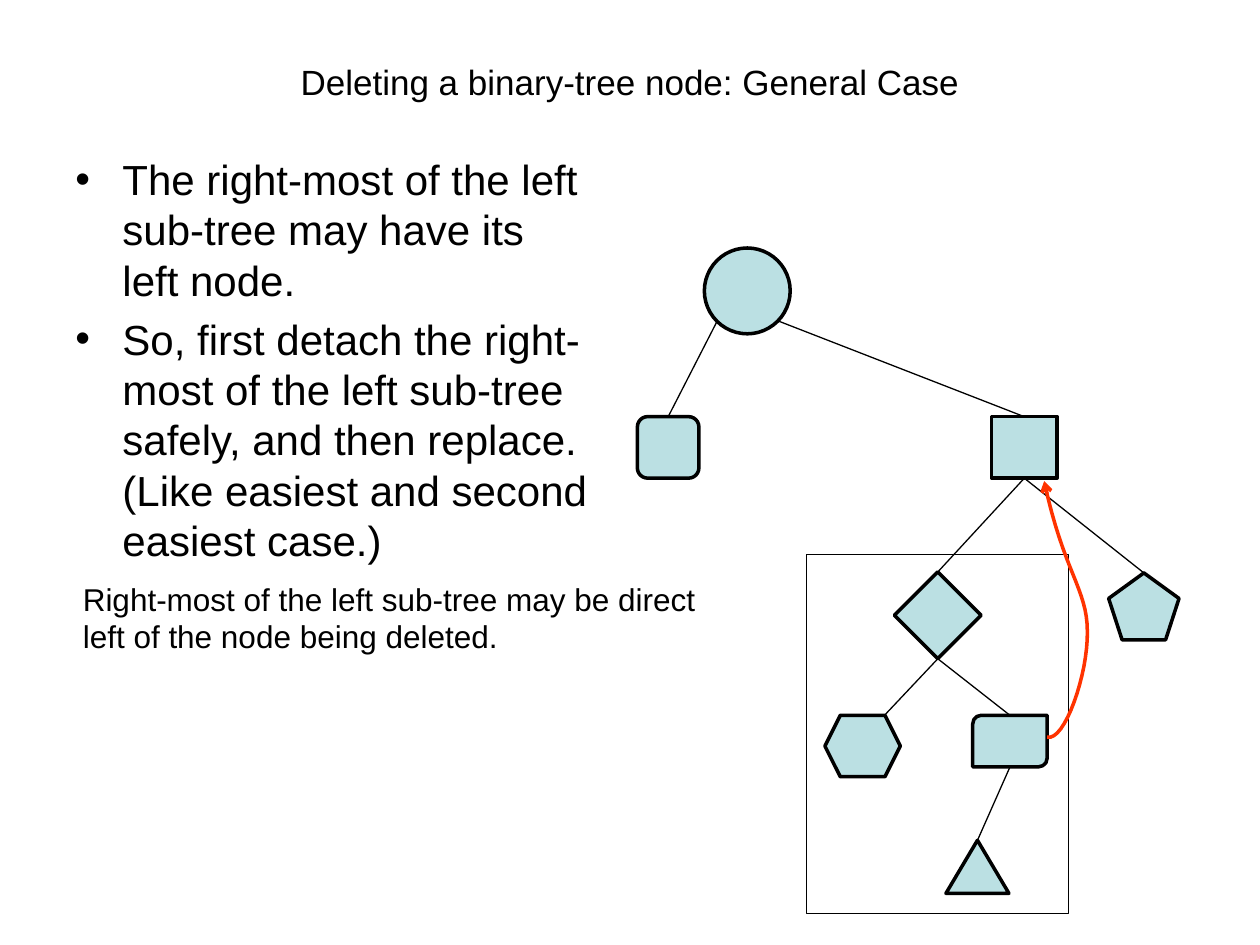
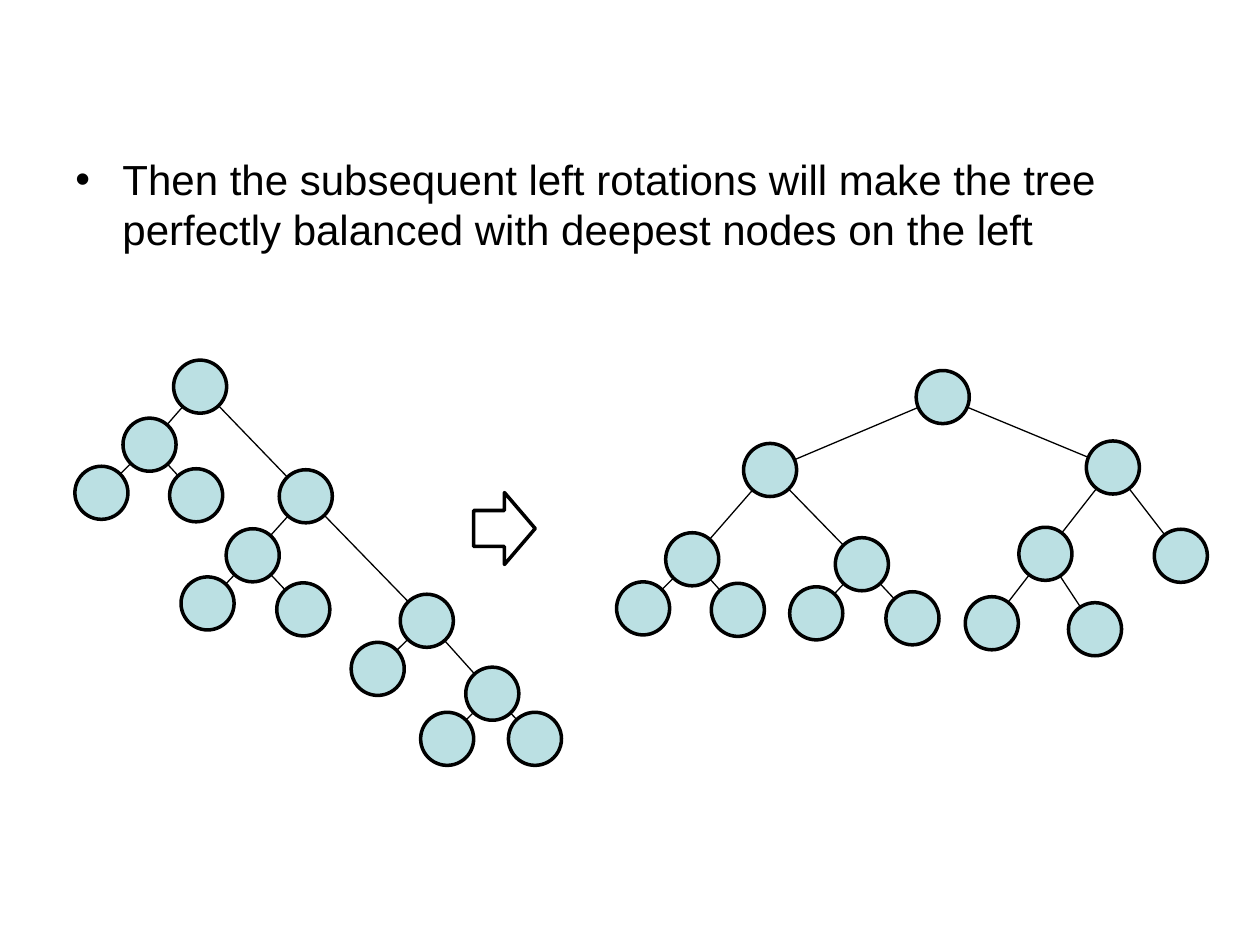
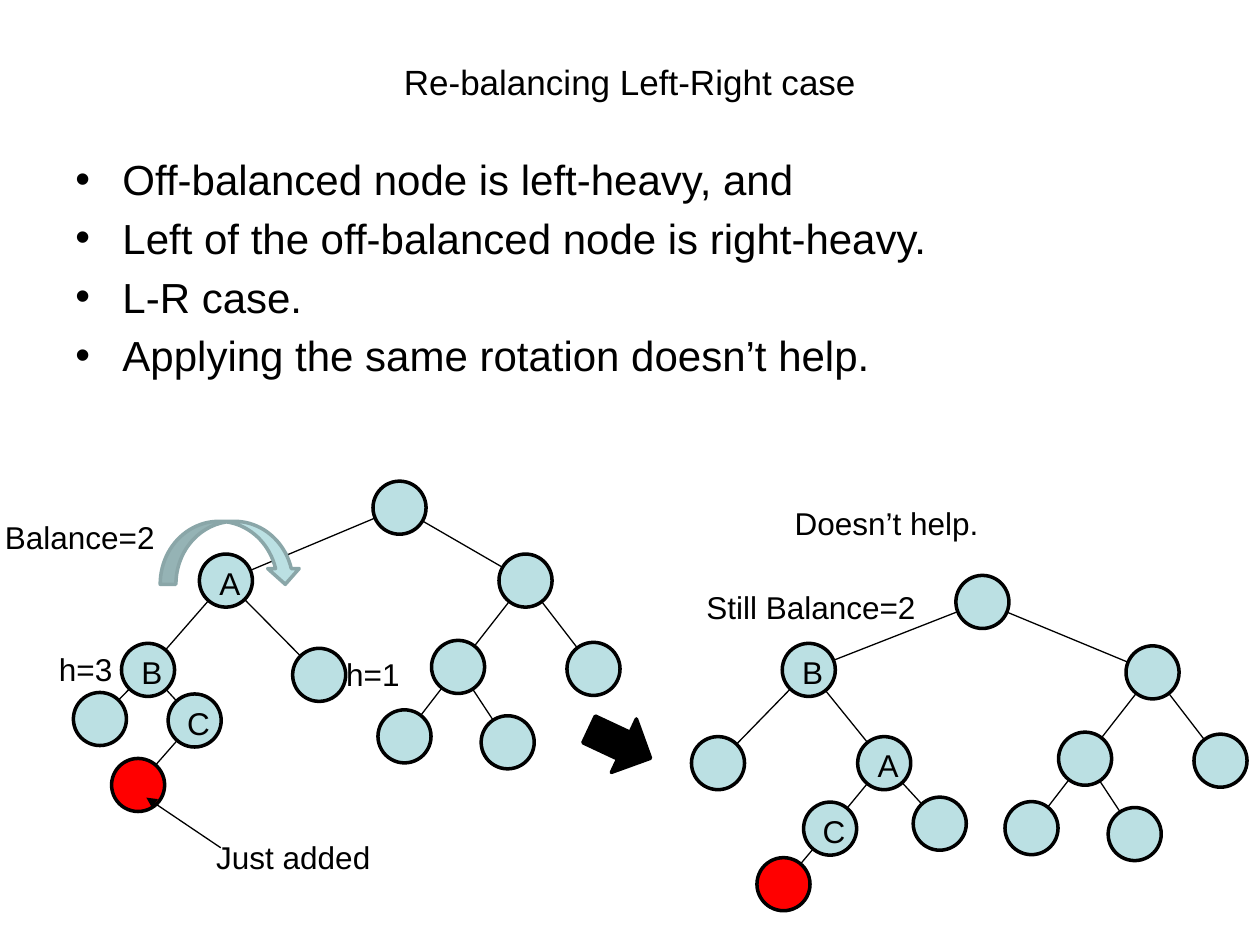
import dataclasses

import pptx
import pptx.dml.color
import pptx.enum.shapes
import pptx.enum.text
import pptx.oxml.ns
import pptx.oxml.xmlchemy
import pptx.util
from pptx.util import Cm

KIND = pptx.enum.shapes.MSO_SHAPE
ANCHOR = pptx.enum.text.MSO_ANCHOR
ALIGN = pptx.enum.text.PP_ALIGN
FIT = pptx.enum.text.MSO_AUTO_SIZE

FONT = "Arial"
BLACK, PALE, RED = "000000", "BBE0E3", "FF0000"
ORANGE, ARC_EDGE = "FF3300", "8AA6A8"
NODE_SIZE = 1.07
THICK, THIN, HAIR = 2, 0.75, 0.25
TITLE_ONLY, BLANK = 5, 6
TOP, BOTTOM = (0.5, 0), (0.5, 1)
JOIN_SITES = {TOP: 0, (0, 0.5): 1, BOTTOM: 2, (1, 0.5): 3}


@dataclasses.dataclass
class Box:
    left: float
    top: float
    width: float
    height: float

    def inner(self, left, top, width, height):
        return Box(self.left + left, self.top + top, width, height)

    def point(self, x, y):
        return self.left + x, self.top + y

    def lengths(self):
        return [Cm(value) for value in dataclasses.astuple(self)]


@dataclasses.dataclass
class Node:
    """A tree node, offset from its parent (a root: from its box)."""
    dx: float
    dy: float
    children: tuple = ()
    label: str = ""
    fill: str = PALE


TITLE_BOX = Box(1.27, 0.76, 22.86, 1.78)
BODY_BOX = Box(1.27, 2.97, 22.86, 14.05)


def apply_format(target, values):
    for name, value in values.items():
        setattr(target, name, value)


def color(code):
    return pptx.dml.color.RGBColor.from_string(code)


def add_child(parent, tag, **attributes):
    child = pptx.oxml.xmlchemy.OxmlElement(tag)
    for name, value in attributes.items():
        child.set(name, value)
    parent.append(child)
    return child


def set_line(line, code, width, arrowhead=None):
    line.color.rgb = color(code)
    line.width = pptx.util.Pt(width)
    if arrowhead:
        add_child(line._get_or_add_ln(), "a:tailEnd", type=arrowhead)


def set_text(para, text, size, **layout):
    span = para.add_run()
    span.text = text
    apply_format(span.font, {"name": FONT, "size": pptx.util.Pt(size)})
    span.font.color.rgb = color(BLACK)
    apply_format(para, layout)


def set_paint(shape, fill, edge, width, arrowhead=None):
    shape.shadow.inherit = False
    if fill:
        shape.fill.solid()
        shape.fill.fore_color.rgb = color(fill)
    else:
        shape.fill.background()
    set_line(shape.line, edge, width, arrowhead)


def draw_shape(page, kind, box, fill=PALE, edge=BLACK, width=THICK):
    shape = page.shapes.add_shape(kind, *box.lengths())
    set_paint(shape, fill, edge, width)
    return shape


def draw_line(page, start, finish, arrowhead=None):
    line = page.shapes.add_connector(
        pptx.enum.shapes.MSO_CONNECTOR.STRAIGHT,
        *[Cm(value) for value in (*start, *finish)])
    set_line(line.line, BLACK, THIN, arrowhead)
    add_child(line._element.find(pptx.oxml.ns.qn("p:spPr")), "a:effectLst")
    return line


def add_page(deck, title=None):
    page = deck.slides.add_slide(deck.slide_layouts[TITLE_ONLY if title else BLANK])
    if title:
        holder = page.shapes.title
        names = ("left", "top", "width", "height")
        apply_format(holder, dict(zip(names, TITLE_BOX.lengths())))
        apply_format(holder.text_frame, {
            "vertical_anchor": ANCHOR.MIDDLE, "word_wrap": True, "auto_size": FIT.NONE})
        set_text(holder.text_frame.paragraphs[0], title, 20, alignment=ALIGN.CENTER)
    return page


def draw_bullets(page, box, lines):
    frame = page.shapes.add_textbox(*box.lengths()).text_frame
    frame.word_wrap = True
    for index, text in enumerate(lines):
        para = frame.add_paragraph() if index else frame.paragraphs[0]
        set_text(para, text, 24, space_before=pptx.util.Pt(4.8))
        properties = para._p.get_or_add_pPr()
        apply = {"marL": Cm(0.95), "indent": Cm(-0.95)}
        for name, value in apply.items():
            properties.set(name, str(value))
        add_child(properties, "a:buFont", typeface=FONT)
        add_child(properties, "a:buChar", char="•")


def draw_label(page, box, text, wrap=False):
    frame = page.shapes.add_textbox(*box.lengths()).text_frame
    apply_format(frame, {"word_wrap": wrap, "auto_size": FIT.SHAPE_TO_FIT_TEXT})
    set_text(frame.paragraphs[0], text, 18)


def draw_edges(page, box, node):
    """Draw lines from node centre to node centre, below the nodes."""
    middle = NODE_SIZE / 2
    place = box.inner(node.dx, node.dy, NODE_SIZE, NODE_SIZE)
    for child in node.children:
        draw_line(page, place.point(middle, middle),
                  place.point(child.dx + middle, child.dy + middle))
        draw_edges(page, place, child)


def draw_nodes(page, box, node):
    place = box.inner(node.dx, node.dy, NODE_SIZE, NODE_SIZE)
    circle = draw_shape(page, KIND.OVAL, place, node.fill)
    if node.label:
        frame = circle.text_frame
        apply_format(frame, {
            "word_wrap": False, "vertical_anchor": ANCHOR.MIDDLE, "margin_left": Cm(0.16),
            "margin_right": 0, "margin_top": Cm(0.08), "margin_bottom": 0})
        set_text(frame.paragraphs[0], node.label, 18, alignment=ALIGN.CENTER)
    for child in node.children:
        draw_nodes(page, place, child)


def draw_tree(page, box, root):
    draw_edges(page, box, root)
    draw_nodes(page, box, root)


def right_branch(dx, dy):
    inner = Node(-1.36, 1.74, (Node(-1.08, 1.4), Node(1, 1.52)))
    return Node(dx, dy, (inner, Node(1.37, 1.78)))


def draw_replacement_arrow(page, box):
    """Draw two joined cubic curves, ending in an arrowhead."""
    curves = [
        [(8.26, 9.86), (8.61, 9.96), (9.09, 8.59), (9.07, 7.72)],
        [(9.07, 7.72), (9.07, 6.88), (8.59, 6.53), (8.2, 4.7)]]
    steps = 16
    points = []
    for curve in curves:
        for step in range(steps + 1):
            t = step / steps
            weights = ((1 - t) ** 3, 3 * t * (1 - t) ** 2, 3 * t * t * (1 - t), t ** 3)
            x, y = (sum(w * p[axis] for w, p in zip(weights, curve)) for axis in (0, 1))
            points.append(tuple(Cm(value) for value in box.point(x, y)))
    builder = page.shapes.build_freeform(*points[0])
    builder.add_line_segments(points[1:], close=False)
    set_paint(builder.convert_to_shape(), None, ORANGE, THICK, "arrow")


def draw_deletion_tree(page, box):
    parts = {
        "root": (KIND.OVAL, 1.35, 0, 1.73, 1.73),
        "deleted": (KIND.RECTANGLE, 7.14, 3.4, 1.32, 1.24),
        "root left": (KIND.ROUNDED_RECTANGLE, 0, 3.4, 1.24, 1.24),
        "left": (KIND.DIAMOND, 5.18, 6.53, 1.75, 1.75),
        "right": (KIND.REGULAR_PENTAGON, 9.5, 6.55, 1.42, 1.35),
        "left left": (KIND.HEXAGON, 3.78, 9.42, 1.52, 1.24),
        "rightmost": (KIND.ROUND_2_DIAG_RECTANGLE, 6.76, 9.42, 1.5, 1.04),
        "rightmost left": (KIND.ISOSCELES_TRIANGLE, 6.22, 11.94, 1.27, 1.07)}
    links = [
        ("root", (0.15, 0.85), "root left", TOP),
        ("root", (0.86, 0.85), "deleted", TOP),
        ("deleted", BOTTOM, "left", TOP),
        ("deleted", BOTTOM, "right", TOP),
        ("left", BOTTOM, "left left", (0.79, 0)),
        ("left", BOTTOM, "rightmost", TOP),
        ("rightmost", BOTTOM, "rightmost left", TOP)]
    places = {name: box.inner(*part[1:]) for name, part in parts.items()}
    shapes = {name: draw_shape(page, parts[name][0], place) for name, place in places.items()}
    for parent, start, child, finish in links:
        line = draw_line(page, *[
            places[name].point(places[name].width * x, places[name].height * y)
            for name, (x, y) in ((parent, start), (child, finish))])
        for join, name, spot in ((line.begin_connect, parent, start),
                                 (line.end_connect, child, finish)):
            # The diagonal rectangle numbers its sites in another order.
            if spot in JOIN_SITES and name != "rightmost":
                join(shapes[name], JOIN_SITES[spot])
    draw_shape(page, KIND.RECTANGLE, box.inner(3.4, 6.17, 5.28, 7.24), None, width=HAIR)
    draw_replacement_arrow(page, box)


def draw_unbalanced_tree(page, box):
    deepest = Node(1.32, 1.47, (Node(-0.91, 0.91), Node(0.86, 0.91)))
    third = Node(2.44, 2.51, (Node(-0.99, 0.97), deepest))
    second = Node(2.13, 2.21, (
        Node(-1.07, 1.19, (Node(-0.91, 0.97), Node(1.02, 1.09))), third))
    first_left = Node(-1.02, 1.17, (Node(-0.97, 0.97), Node(0.94, 1.02)))
    draw_tree(page, box, Node(1.98, 0, (first_left, second)))


def draw_balanced_tree(page, box):
    left = Node(-3.48, 1.47, (
        Node(-1.57, 1.8, (Node(-0.99, 0.99), Node(0.92, 1.02))),
        Node(1.85, 1.9, (Node(-0.92, 0.99), Node(1.02, 1.09)))))
    draw_tree(page, box, Node(6.05, 0, (left, right_branch(3.43, 1.42))))


def draw_tree_before(page, box):
    added = Node(-1.14, 1.3, fill=RED)
    node_c = Node(0.94, 1.02, (added,), "C")
    node_b = Node(-1.57, 1.8, (Node(-0.97, 0.99), node_c), "B")
    node_a = Node(-3.5, 1.47, (node_b, Node(1.88, 1.9)), "A")
    draw_tree(page, box, Node(7.52, 0, (node_a, right_branch(2.54, 1.47))))
    draw_shape(page, KIND.CURVED_DOWN_ARROW, box.inner(3.23, 0.81, 2.84, 1.27), edge=ARC_EDGE)
    for text, left, top, width in (
            ("Balance=2", -0.15, 0.61, 3.56), ("h=3", 0.94, 3.28, 1.6),
            ("h=1", 6.73, 3.38, 1.6), ("Just added", 4.11, 7.06, 3.66)):
        draw_label(page, box.inner(left, top, width, 1.02), text)
    draw_line(page, box.point(4.45, 7.39), box.point(2.95, 6.38), "triangle")


def draw_tree_after(page, box):
    added = Node(-0.94, 1.12, fill=RED)
    node_c = Node(-1.09, 1.32, (added,), "C")
    node_a = Node(1.52, 1.88, (node_c, Node(1.12, 1.22)), "A")
    node_b = Node(-3.5, 1.37, (Node(-1.83, 1.88), node_a), "B")
    draw_tree(page, box, Node(5.33, 1.57, (node_b, right_branch(3.43, 1.42))))
    draw_label(page, box.inner(0.05, 1.7, 4.78, 1.02), "Still Balance=2")
    draw_label(page, box.inner(1.83, 0, 7.62, 1.02), "Doesn’t help.", wrap=True)


def add_deletion_page(deck):
    page = add_page(deck, "Deleting a binary-tree node: General Case")
    draw_bullets(page, dataclasses.replace(BODY_BOX, width=10.9), [
        "The right-most of the left sub-tree may have its left node.",
        "So, first detach the right-most of the left sub-tree safely, and then replace. "
        "(Like easiest and second easiest case.)"])
    draw_deletion_tree(page, Box(12.85, 5, 10.92, 13.41))
    draw_label(page, Box(1.42, 11.56, 13.39, 2.57),
               "Right-most of the left sub-tree may be direct left of the node being deleted.",
               wrap=True)


def add_rotation_page(deck):
    page = add_page(deck)
    draw_bullets(page, BODY_BOX, [
        "Then the subsequent left rotations will make the tree perfectly balanced "
        "with deepest nodes on the left"])
    draw_unbalanced_tree(page, Box(1.52, 7.26, 9.8, 8.18))
    draw_shape(page, KIND.RIGHT_ARROW, Box(9.55, 9.93, 1.24, 1.45), None)
    draw_balanced_tree(page, Box(12.42, 7.47, 11.91, 5.74))


def add_left_right_page(deck):
    page = add_page(deck, "Re-balancing Left-Right case")
    draw_bullets(page, BODY_BOX, [
        "Off-balanced node is left-heavy, and",
        "Left of the off-balanced node is right-heavy.",
        "L-R case.",
        "Applying the same rotation doesn’t help."])
    draw_tree_before(page, Box(0, 9.7, 12.5, 8.08))
    arrow = draw_shape(page, KIND.RIGHT_ARROW, Box(11.81, 14.4, 1.37, 1.19), BLACK)
    arrow.rotation = 25.1
    draw_tree_after(page, Box(13.94, 10.03, 11.2, 8.33))


def main():
    deck = pptx.Presentation()
    apply_format(deck, {"slide_width": Cm(25.4), "slide_height": Cm(19.05)})
    add_deletion_page(deck)
    add_rotation_page(deck)
    add_left_right_page(deck)
    deck.save("out.pptx")


if __name__ == "__main__":
    main()
